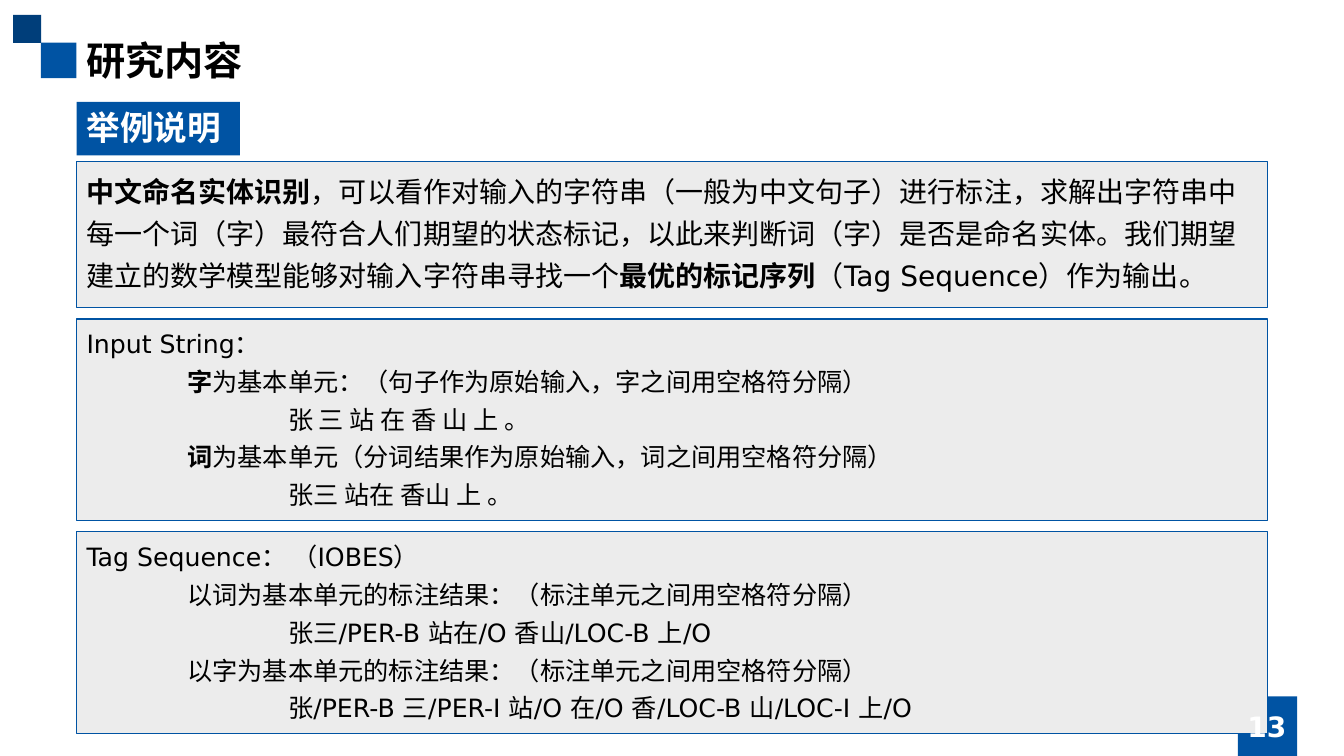
from pptx import Presentation
from pptx.dml.color import RGBColor
from pptx.enum.shapes import MSO_SHAPE
from pptx.enum.text import MSO_ANCHOR, PP_ALIGN
from pptx.oxml.ns import qn
from pptx.util import Pt
from lxml.etree import SubElement

BLUE, NAVY, GREY = "0053A3", "003E7A", "ECECEC"
BLACK, WHITE = "000000", "FFFFFF"
LATIN, HAN = "DejaVu Sans", "Noto Sans CJK SC"
LEFT, WIDE = 54.7, 850.6
TAB = 72


def paint(color, code):
    color.rgb = RGBColor.from_string(code)


def write(frame, lines, size=18, color=BLACK, font=LATIN, bold=False,
          space=None, align=PP_ALIGN.LEFT, anchor=MSO_ANCHOR.TOP):
    """Fill a frame, one paragraph a line; ** marks a bold part."""
    frame.word_wrap = True
    frame.vertical_anchor = anchor
    frame.margin_left = frame.margin_right = Pt(7.2)
    frame.margin_top = frame.margin_bottom = Pt(3.6)
    for i, line in enumerate(lines):
        para = frame.add_paragraph() if i else frame.paragraphs[0]
        para.alignment = align
        para.space_before = Pt(0)
        para.line_spacing = space
        depth = line.count("\t")
        if depth:
            stops = SubElement(para._p.get_or_add_pPr(), qn("a:tabLst"))
            for step in range(1, depth + 1):
                SubElement(stops, qn("a:tab"), pos=str(Pt(TAB * step)), algn="l")
        for j, part in enumerate(line.split("**")):
            if not part:
                continue
            run = para.add_run()
            run.text = part
            run.font.size = Pt(size)
            run.font.bold = bold or j % 2 == 1
            run.font.name = font
            paint(run.font.color, color)
            SubElement(run.font._element, qn("a:ea"), typeface=HAN)


class Page:
    def __init__(self, deck):
        self.slide = deck.slides.add_slide(deck.slide_layouts[5])
        self.shapes = self.slide.shapes

    def title(self, text, x, y, w, h):
        head = self.shapes.title
        head.left, head.top, head.width, head.height = map(Pt, (x, y, w, h))
        write(head.text_frame, [text], size=28, font=HAN, bold=True, space=1.0)

    def rect(self, x, y, w, h, fill, line=None, home=None):
        box = (home or self.shapes).add_shape(
            MSO_SHAPE.RECTANGLE, Pt(x), Pt(y), Pt(w), Pt(h))
        box.shadow.inherit = False
        box.fill.solid()
        paint(box.fill.fore_color, fill)
        if line:
            paint(box.line.color, line)
            box.line.width = Pt(1)
        else:
            box.line.fill.background()
        return box

    def text(self, x, y, w, h, lines, home=None, **style):
        box = (home or self.shapes).add_textbox(Pt(x), Pt(y), Pt(w), Pt(h))
        write(box.text_frame, lines, **style)

    def panel(self, y, h, top, deep, lines, size=18):
        home = self.shapes.add_group_shape().shapes
        self.rect(LEFT, y, WIDE, h, GREY, BLUE, home)
        self.text(LEFT, top, WIDE, deep, lines, home, size=size, space=1.25)


def main():
    deck = Presentation()
    deck.slide_width, deck.slide_height = Pt(960), Pt(540)
    page = Page(deck)

    # Corner squares and page number square
    page.rect(29.2, 30.5, 25.4, 25.4, BLUE)
    page.rect(9.4, 10.6, 20, 20, NAVY)
    page.rect(884.2, 497.4, 42.4, 42.6, BLUE)

    # Title and section label
    page.title("研究内容", LEFT - 0.3, 22.3, 425.5, 43.2)
    label = page.rect(LEFT, 72.8, 116.6, 38.2, BLUE)
    write(label.text_frame, ["举例说明"], size=24, color=WHITE, bold=True)

    # Definition
    page.panel(115.2, 104.4, 115.2, 97.2, [
        "**中文命名实体识别**，可以看作对输入的字符串（一般为中文句子）进行标注，"
        "求解出字符串中每一个词（字）最符合人们期望的状态标记，以此来判断词（字）"
        "是否是命名实体。我们期望建立的数学模型能够对输入字符串寻找一个"
        "**最优的标记序列**（Tag Sequence）作为输出。"], size=20)

    # Input example
    page.panel(227.8, 144, 225.7, 141.8, [
        "Input String：",
        "\t**字**为基本单元：（句子作为原始输入，字之间用空格符分隔）",
        "\t\t张 三 站 在 香 山 上 。",
        "\t**词**为基本单元（分词结果作为原始输入，词之间用空格符分隔）",
        "\t\t张三 站在 香山 上 。"])

    # Tagged output example
    page.panel(379.8, 144, 378, 141.8, [
        "Tag Sequence： （IOBES）",
        "\t以词为基本单元的标注结果：（标注单元之间用空格符分隔）",
        "\t\t张三/PER-B 站在/O 香山/LOC-B 上/O",
        "\t以字为基本单元的标注结果：（标注单元之间用空格符分隔）",
        "\t\t张/PER-B 三/PER-I 站/O 在/O 香/LOC-B 山/LOC-I 上/O"])

    # Page number
    page.text(850.3, 504.7, 109.4, 28.8, ["13"], size=20, color=WHITE,
              bold=True, align=PP_ALIGN.CENTER, anchor=MSO_ANCHOR.MIDDLE)

    deck.save("out.pptx")


if __name__ == "__main__":
    main()
